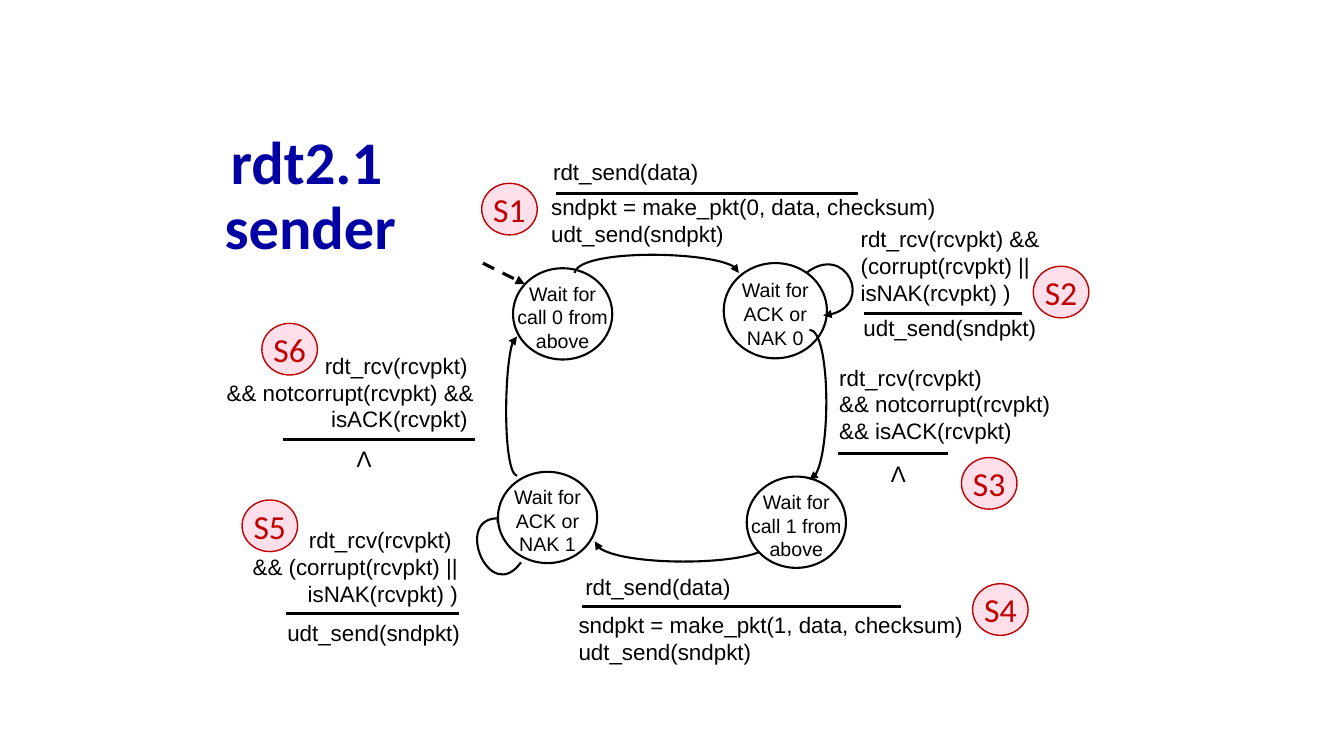
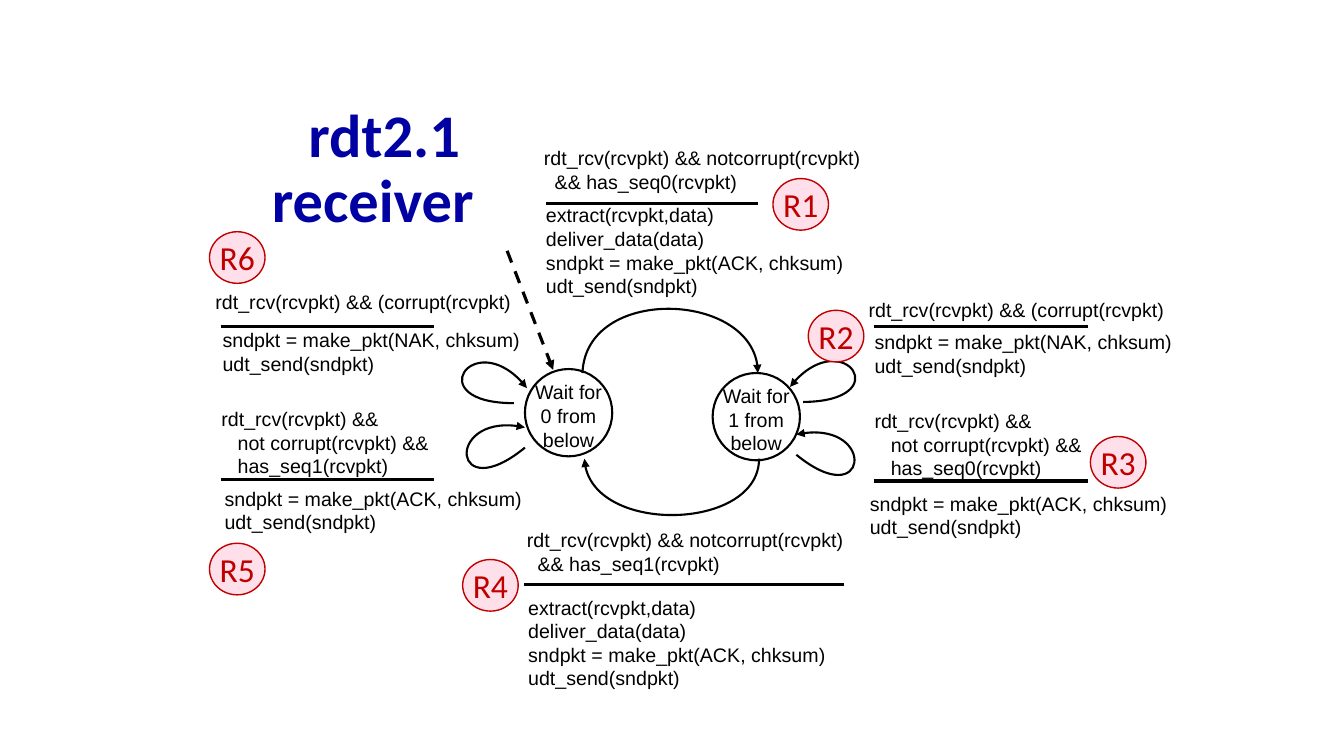
from dataclasses import dataclass

from lxml.etree import SubElement
from pptx import Presentation
from pptx.dml.color import RGBColor
from pptx.enum.dml import MSO_LINE_DASH_STYLE as Dash
from pptx.enum.shapes import MSO_CONNECTOR_TYPE as Connector
from pptx.enum.shapes import MSO_SHAPE as Preset
from pptx.enum.text import MSO_ANCHOR as Anchor
from pptx.enum.text import PP_ALIGN as Align
from pptx.oxml.ns import qn
from pptx.util import Cm, Pt


@dataclass(frozen=True)
class Theme:
    ink: RGBColor = RGBColor(0, 0, 0)
    paper: RGBColor = RGBColor(255, 255, 255)
    title: RGBColor = RGBColor(0, 0, 0xA3)
    badge_fill: RGBColor = RGBColor(0xFF, 0xE0, 0xEA)
    badge_ink: RGBColor = RGBColor(0xC0, 0, 0)
    body_font: str = "Arial"
    title_font: str = "Calibri"
    title_size: float = 43.2
    badge_size: float = 24
    state_size: float = 14
    sender_size: float = 16
    receiver_size: float = 14
    rule_width: float = 2.25
    curve_width: float = 1.5
    badge_width: float = 1


THEME = Theme()


@dataclass
class State:
    label: str
    left: float
    top: float
    width: float = 2.5
    height: float = 2.3


@dataclass
class Transition:
    name: str
    badge: tuple
    event: str
    event_box: tuple
    rule: tuple
    action: str
    action_box: tuple
    curve: tuple
    indent: float = 0
    align: Align = Align.LEFT


def format_text(text_frame, font_name, size, color, align, bold=False):
    for paragraph in text_frame.paragraphs:
        paragraph.alignment = align
        for run in paragraph.runs:
            run.font.name = font_name
            run.font.size = Pt(size)
            run.font.color.rgb = color
            run.font.bold = bold


def add_text(slide, text, box, size, align=Align.LEFT, indent=0):
    left, top, width = box
    height = 0.25 + size * 0.041 * len(text.split("\n"))
    shape = slide.shapes.add_textbox(Cm(left), Cm(top), Cm(width), Cm(height))
    text_frame = shape.text_frame
    text_frame.word_wrap = True
    text_frame.text = text
    format_text(text_frame, THEME.body_font, size, THEME.ink, align)
    if indent:
        for paragraph in text_frame.paragraphs[1:]:
            paragraph._p.get_or_add_pPr().set("marL", str(Cm(indent)))


def add_title(slide, text, left, top, width):
    shape = slide.shapes.add_textbox(Cm(left), Cm(top), Cm(width), Cm(2.5))
    text_frame = shape.text_frame
    text_frame.word_wrap = True
    text_frame.vertical_anchor = Anchor.MIDDLE
    text_frame.text = text
    text_frame.paragraphs[0].line_spacing = 0.9
    format_text(text_frame, THEME.title_font, THEME.title_size, THEME.title,
                Align.RIGHT, bold=True)


def add_ellipse(slide, text, box, fill, line, line_width, inset_top=0):
    shape = slide.shapes.add_shape(Preset.OVAL, *map(Cm, box))
    shape.shadow.inherit = False
    shape.fill.solid()
    shape.fill.fore_color.rgb = fill
    shape.line.color.rgb = line
    shape.line.width = Pt(line_width)
    text_frame = shape.text_frame
    text_frame.word_wrap = False
    text_frame.vertical_anchor = Anchor.MIDDLE
    text_frame.margin_left = text_frame.margin_right = text_frame.margin_bottom = 0
    text_frame.margin_top = Cm(inset_top)
    text_frame.text = text
    return text_frame


def add_state(slide, state):
    box = (state.left, state.top, state.width, state.height)
    text_frame = add_ellipse(slide, state.label, box, THEME.paper, THEME.ink,
                             THEME.curve_width, inset_top=0.15)
    format_text(text_frame, THEME.body_font, THEME.state_size, THEME.ink, Align.CENTER)


def add_badge(slide, name, left, top):
    text_frame = add_ellipse(slide, name, (left, top, 1.4, 1.3), THEME.badge_fill,
                             THEME.badge_ink, THEME.badge_width)
    format_text(text_frame, THEME.title_font, THEME.badge_size, THEME.badge_ink,
                Align.CENTER)


def add_arrowhead(shape):
    SubElement(shape.line._get_or_add_ln(), qn("a:tailEnd"), type="triangle")


def add_rule(slide, start, end):
    connector = slide.shapes.add_connector(Connector.STRAIGHT, *map(Cm, start + end))
    connector.line.color.rgb = THEME.ink
    connector.line.width = Pt(THEME.rule_width)
    SubElement(connector._element.spPr, qn("a:effectLst"))
    return connector


def add_entry_arrow(slide, start, end):
    connector = add_rule(slide, start, end)
    connector.line.dash_style = Dash.DASH
    add_arrowhead(connector)


def add_curve(slide, points):
    start, *others = [(Cm(x), Cm(y)) for x, y in points]
    builder = slide.shapes.build_freeform(*start)
    builder.add_line_segments(others, close=False)
    shape = builder.convert_to_shape()
    segments = list(shape._element.iter(qn("a:lnTo")))
    outline = segments[0].getparent()
    bezier = SubElement(outline, qn("a:cubicBezTo"))
    for segment in segments:
        bezier.append(segment[0])
        outline.remove(segment)
    shape.shadow.inherit = False
    shape.fill.background()
    shape.line.color.rgb = THEME.ink
    shape.line.width = Pt(THEME.curve_width)
    add_arrowhead(shape)


def add_transition(slide, transition, size):
    left, right, level = transition.rule
    add_curve(slide, transition.curve)
    add_text(slide, transition.event, transition.event_box, size,
             transition.align, transition.indent)
    add_rule(slide, (left, level), (right, level))
    add_text(slide, transition.action, transition.action_box, size)
    add_badge(slide, transition.name, *transition.badge)


def add_machine(slide, states, transitions, size):
    for state in states:
        add_state(slide, state)
    for transition in transitions:
        add_transition(slide, transition, size)


def build_sender(slide):
    add_title(slide, "rdt2.1 \vsender", 4.72, 3.73, 5.51)
    add_entry_arrow(slide, (12.17, 6.63), (13.23, 7.16))
    send = "sndpkt = make_pkt({}, data, checksum)\nudt_send(sndpkt)"
    add_machine(slide, [
        State("Wait for\ncall 0 from\nabove", 12.93, 6.76),
        State("Wait for\nACK or\nNAK 0", 18.24, 6.63, 2.6, 2.4),
    ], [
        Transition("S1", (12.14, 4.62), "rdt_send(data)", (13.69, 3.86, 5.87),
                   (14.02, 21.62, 4.88), send.format(0), (13.64, 4.75, 10.26),
                   ((14.48, 6.88), (14.58, 6.27), (18.62, 6.32), (18.62, 6.88))),
        Transition("S2", (26.04, 6.71),
                   "rdt_rcv(rcvpkt) &&\n(corrupt(rcvpkt) ||\nisNAK(rcvpkt) )",
                   (21.44, 5.56, 8.84), (21.77, 25.76, 7.9),
                   "udt_send(sndpkt)", (21.51, 7.8, 6.27),
                   ((20.32, 6.88), (21.31, 6.1), (22.12, 7.82), (20.75, 7.95))),
        Transition("S4", (24.51, 14.71), "rdt_send(data)", (14.5, 14.33, 6.63),
                   (14.66, 22.71, 15.29), send.format(1), (14.33, 15.27, 10.46),
                   ((19.43, 13.64), (19.43, 14.27), (15.06, 14.33), (14.99, 13.64))),
        Transition("S5", (6.1, 12.6),
                   "rdt_rcv(rcvpkt) \n&& (corrupt(rcvpkt) ||\nisNAK(rcvpkt) )",
                   (5.16, 13.13, 6.63), (7.21, 11.56, 15.47),
                   "udt_send(sndpkt)", (6.99, 15.47, 5.05),
                   ((13.13, 14.17), (12.34, 15.27), (11.33, 12.83), (12.73, 13.08)),
                   align=Align.RIGHT),
    ], THEME.sender_size)
    add_machine(slide, [
        State("Wait for\ncall 1 from\nabove", 18.82, 12.01),
        State("Wait for\nACK or\nNAK 1", 12.55, 11.89),
    ], [
        Transition("S3", (24.23, 11.53),
                   "rdt_rcv(rcvpkt)\n&& notcorrupt(rcvpkt)\n&& isACK(rcvpkt)",
                   (20.9, 9.04, 8.33), (21.13, 23.9, 11.43),
                   "Λ", (22.2, 11.46, 0.89),
                   ((20.4, 8.31), (20.93, 8.31), (20.96, 12.01), (20.4, 12.09))),
        Transition("S6", (6.6, 8.15),
                   "rdt_rcv(rcvpkt) \n&& notcorrupt(rcvpkt) &&\nisACK(rcvpkt) ",
                   (2.13, 8.74, 10.06), (7.14, 11.96, 11.07),
                   "Λ", (8.74, 11.1, 0.89),
                   ((13.03, 11.99), (12.67, 11.91), (12.7, 8.48), (13.03, 8.48)),
                   align=Align.RIGHT),
    ], THEME.sender_size)


def build_receiver(slide):
    add_title(slide, "rdt2.1 \vreceiver", 0.89, 3.05, 11.3)
    add_entry_arrow(slide, (12.78, 6.32), (13.94, 9.32))
    accept = "rdt_rcv(rcvpkt) && notcorrupt(rcvpkt)\n&& has_seq{}(rcvpkt)"
    duplicate = "rdt_rcv(rcvpkt) &&\nnot corrupt(rcvpkt) &&\nhas_seq{}(rcvpkt)"
    corrupt = "rdt_rcv(rcvpkt) && (corrupt(rcvpkt)"
    reply = "sndpkt = make_pkt({}, chksum)\nudt_send(sndpkt)"
    ack, nak = reply.format("ACK"), reply.format("NAK")
    deliver = "extract(rcvpkt,data)\ndeliver_data(data)\n" + ack
    add_machine(slide, [
        State("Wait for\n0 from\nbelow", 13.23, 9.3, 2.2, 2.2),
        State("Wait for\n1 from\nbelow", 17.96, 9.4, 2.2, 2.2),
    ], [
        Transition("R1", (19.48, 4.5), accept.format(0), (13.46, 3.56, 11.05),
                   (13.77, 19.1, 5.13), deliver, (13.51, 5, 9.65),
                   ((14.68, 9.4), (14.76, 7.21), (19.1, 7.34), (19.1, 9.4)),
                   indent=0.27),
        Transition("R2", (20.37, 7.82), corrupt, (21.64, 7.37, 8.2),
                   (22.02, 27.41, 8.23), nak, (21.79, 8.2, 8.41),
                   ((20.24, 10.13), (22.61, 10.11), (21.21, 8.1), (19.91, 9.75))),
        Transition("R3", (27.48, 11), duplicate.format(0), (21.79, 10.19, 7.29),
                   (22.02, 27.41, 12.12), ack, (21.67, 12.27, 8.18),
                   ((20.07, 11.46), (21.89, 12.95), (22.1, 10.52), (20.07, 10.95)),
                   indent=0.41),
        Transition("R4", (11.66, 14.1), accept.format(1), (13.03, 13.18, 9.96),
                   (13.21, 21.26, 14.73), deliver, (13.06, 14.88, 10.69),
                   ((19.13, 11.56), (19.13, 13.36), (14.81, 13.49), (14.73, 11.56)),
                   indent=0.27),
        Transition("R5", (5.28, 13.69), duplicate.format(1), (5.33, 10.13, 7.29),
                   (5.56, 10.95, 12.09), ack, (5.41, 12.14, 8.18),
                   ((13.23, 11.28), (11.4, 12.78), (11.2, 10.34), (13.23, 10.77)),
                   indent=0.41),
        Transition("R6", (5.28, 5.84), corrupt, (5.18, 7.19, 8.2),
                   (5.56, 10.95, 8.23), nak, (5.36, 8.15, 8.41),
                   ((12.95, 10.16), (10.59, 10.16), (11.99, 8.13), (13.28, 9.78))),
    ], THEME.receiver_size)


def main():
    presentation = Presentation()
    presentation.slide_width = Cm(33.87)
    presentation.slide_height = Cm(19.05)
    blank = presentation.slide_layouts[6]
    for build in (build_sender, build_receiver):
        build(presentation.slides.add_slide(blank))
    presentation.save("out.pptx")


if __name__ == "__main__":
    main()
